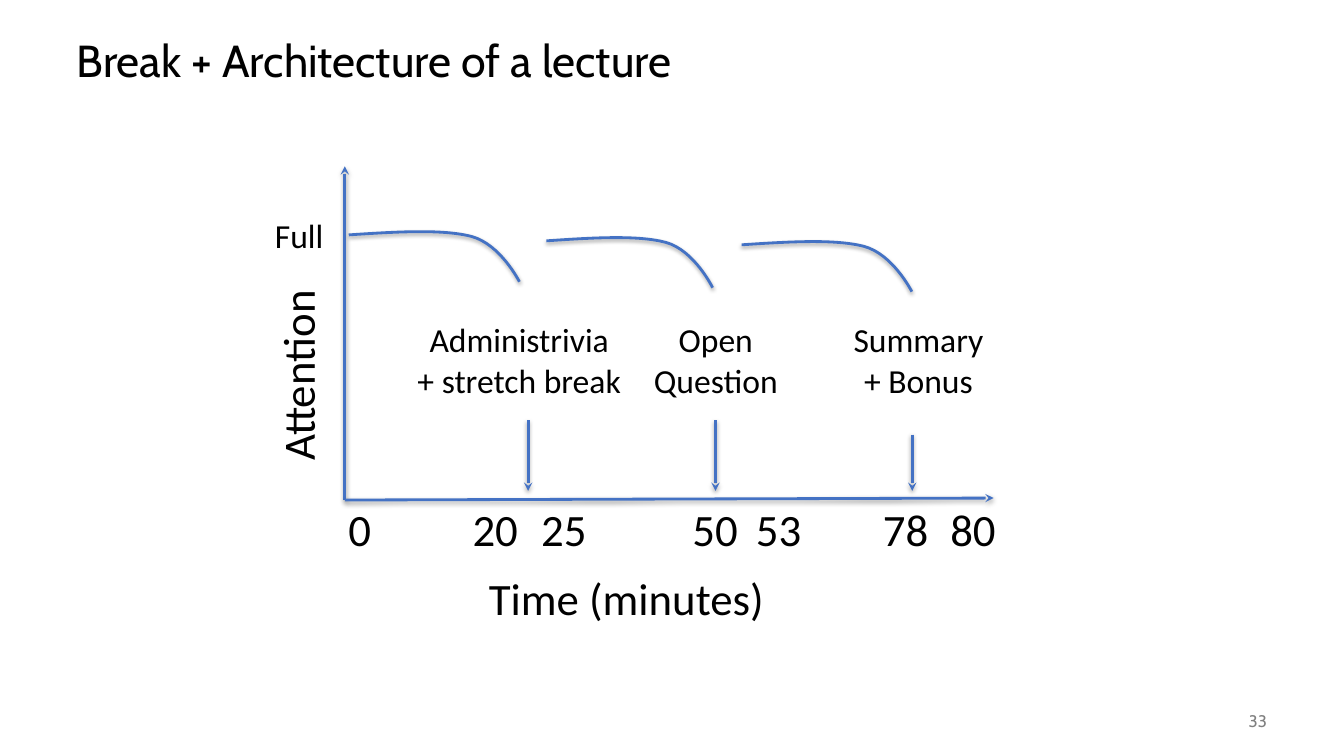
import pptx
import pptx.dml.color
import pptx.enum.shapes
import pptx.enum.text
import pptx.oxml
import pptx.oxml.ns
import pptx.util
from lxml import etree

Cm = pptx.util.Cm
Pt = pptx.util.Pt
qn = pptx.oxml.ns.qn
ALIGN = pptx.enum.text.PP_ALIGN
ANCHOR = pptx.enum.text.MSO_ANCHOR


def color(hex_string):
    return pptx.dml.color.RGBColor.from_string(hex_string)


class LectureSlide:
    ink = "000000"
    blue = "4472C4"
    title_font = "Cabin"
    label_font = "Calibri"

    def __init__(self, presentation):
        self.slide = presentation.slides.add_slide(presentation.slide_layouts[6])
        self.shapes = self.slide.shapes

    def text(self, left, top, width, height, paragraphs, size=32, font=None,
             ink=None, aligns=(ALIGN.LEFT,), anchor=ANCHOR.TOP, wrap=False):
        """Each paragraph is a string; a newline in it is a line break."""
        shape = self.shapes.add_textbox(Cm(left), Cm(top), Cm(width), Cm(height))
        frame = shape.text_frame
        frame.word_wrap = wrap
        frame.vertical_anchor = anchor
        for index, (content, align) in enumerate(zip(paragraphs, aligns)):
            paragraph = frame.add_paragraph() if index else frame.paragraphs[0]
            paragraph.alignment = align
            for number, line in enumerate(content.split("\n")):
                if number:
                    paragraph.add_line_break()
                run = paragraph.add_run()
                run.text = line
                run.font.size = Pt(size)
                run.font.name = font or self.label_font
                run.font.color.rgb = color(ink or self.ink)
        return shape

    def stroke(self, shape):
        """Blue line with a soft shadow below it."""
        shape.line.color.rgb = color(self.blue)
        shape.line.width = Pt(2)
        effects = etree.SubElement(shape.element.spPr, qn("a:effectLst"))
        shadow = etree.SubElement(effects, qn("a:outerShdw"), blurRad=str(Pt(3.1)),
                                  dist=str(Pt(1.6)), dir="5400000", rotWithShape="0")
        black = etree.SubElement(shadow, qn("a:srgbClr"), val="000000")
        etree.SubElement(black, qn("a:alpha"), val="37000")

    def arrow(self, x1, y1, x2, y2):
        connector = self.shapes.add_connector(
            pptx.enum.shapes.MSO_CONNECTOR.STRAIGHT, Cm(x1), Cm(y1), Cm(x2), Cm(y2))
        self.stroke(connector)
        outline = connector.element.spPr.find(qn("a:ln"))
        etree.SubElement(outline, qn("a:tailEnd"), type="stealth")
        return connector

    def curve(self, start, controls):
        """Cubic curve: every three control points make one segment."""
        builder = self.shapes.build_freeform(Cm(start[0]), Cm(start[1]))
        builder.add_line_segments([(Cm(x), Cm(y)) for x, y in controls], close=False)
        shape = builder.convert_to_shape()
        shape.fill.background()
        self.stroke(shape)
        outline = next(shape.element.iter(qn("a:path")))
        corners = outline.findall(qn("a:lnTo"))
        for first in range(0, len(corners), 3):
            segment = etree.SubElement(outline, qn("a:cubicBezTo"))
            for corner in corners[first:first + 3]:
                segment.append(corner[0])
                outline.remove(corner)

    def attention_span(self, left, top, width):
        """Attention holds, then drops off."""
        form = ((0.28, -0.08), (0.55, -0.15), (0.72, 0.04),
                (0.89, 0.24), (1, 1.18), (1, 1.18))
        self.curve((left, top), [(left + width * x, top + y) for x, y in form])

    def event(self, left, width, paragraphs, aligns, arrow_x, arrow_top):
        """Caption grouped with the arrow to its time on the axis."""
        caption = self.text(left, 7.92, width, 2.31, paragraphs, 24, aligns=aligns)
        pointer = self.arrow(arrow_x, arrow_top, arrow_x, 12.37)
        self.shapes.add_group_shape([caption, pointer])


def main():
    presentation = pptx.Presentation()
    presentation.slide_width = Cm(33.87)
    presentation.slide_height = Cm(19.05)
    lecture = LectureSlide(presentation)

    # Title and page number
    title = lecture.text(1.68, 0.64, 30.48, 1.9, ["Break + Architecture of a lecture"],
                         font=lecture.title_font, anchor=ANCHOR.MIDDLE, wrap=True)
    title.text_frame.paragraphs[0].line_spacing = 0.9
    lecture.text(29.64, 17.65, 2.54, 1.02, ["33"], 12, lecture.title_font, "808080",
                 [ALIGN.RIGHT], ANCHOR.MIDDLE, True)

    # Axes and their names
    lecture.text(4.98, 8.53, 5.03, 1.63, ["Attention"]).rotation = 270
    lecture.text(12.07, 14.25, 7.52, 1.63, ["Time (minutes)"])
    lecture.arrow(8.69, 12.6, 8.69, 4.19)
    lecture.arrow(8.69, 12.6, 25.04, 12.55)

    # Times in minutes
    ticks = {"0": 8.53, "20": 11.66, "25": 13.39, "50": 17.2,
             "53": 18.8, "78": 22, "80": 23.7}
    for minute, left in ticks.items():
        lecture.text(left, 12.52, 0.51 + 0.58 * len(minute), 1.63, [minute])

    # Attention curves
    for left, top, width in ((8.79, 5.92, 4.3), (13.77, 6.07, 4.19), (18.69, 6.17, 4.29)):
        lecture.attention_span(left, top, width)

    # Events that restore attention
    center = ALIGN.CENTER
    lecture.event(10.24, 5.69, ["Administrivia", "+ stretch break"],
                  [center, center], 13.31, 10.59)
    lecture.event(21.26, 3.81, ["Summary", "+ Bonus"],
                  [ALIGN.LEFT, center], 22.99, 10.95)
    lecture.event(15.93, 4.22, ["Open\nQuestion"], [center], 18.03, 10.59)

    # Level of full attention
    lecture.text(6.68, 5.28, 1.75, 1.27, ["Full"], 24)

    presentation.save("out.pptx")


if __name__ == "__main__":
    main()
